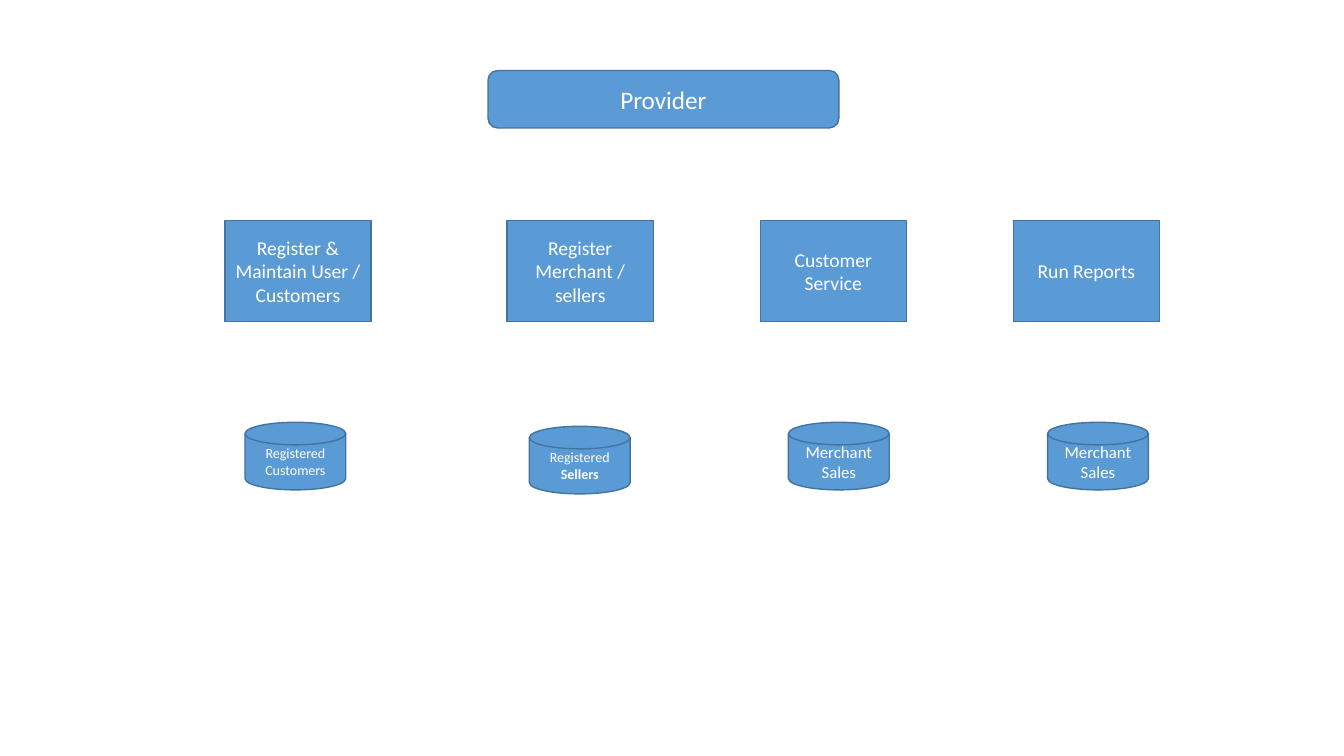
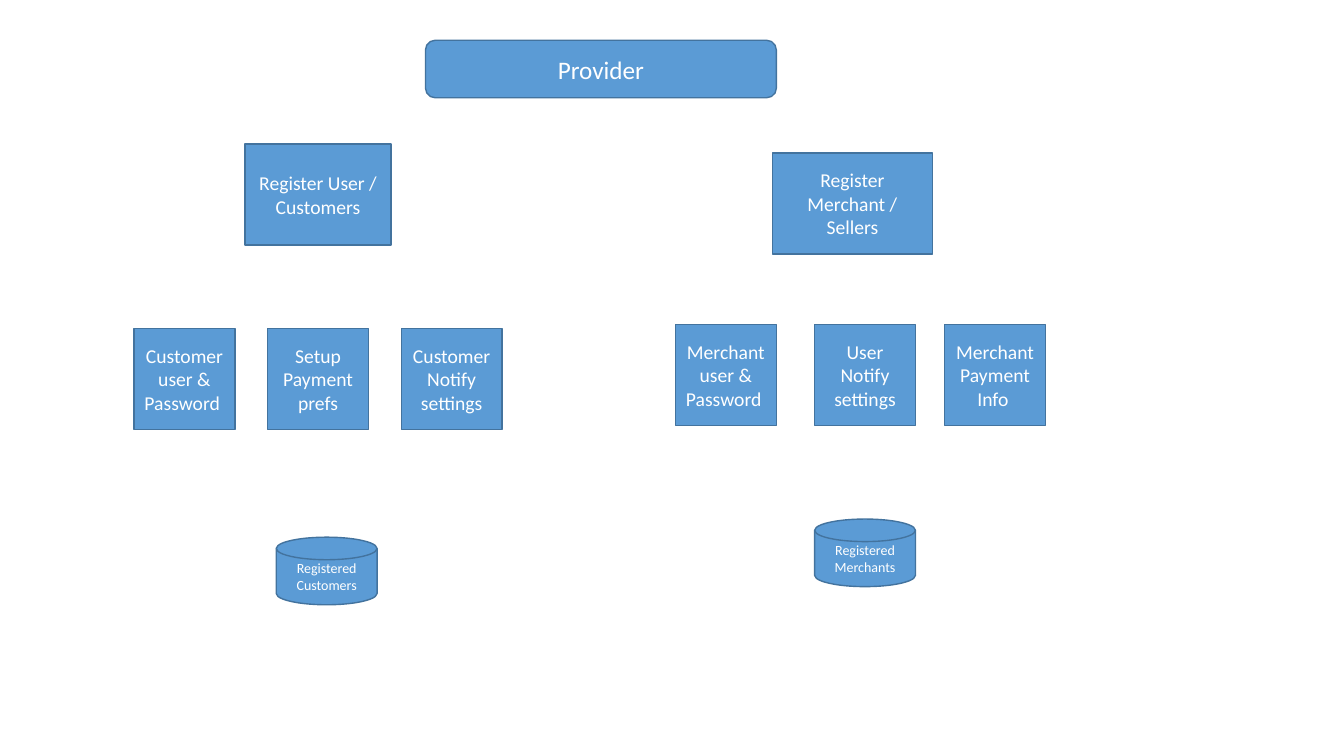
from dataclasses import dataclass

from pptx import Presentation
from pptx.dml.color import RGBColor
from pptx.enum.shapes import MSO_SHAPE
from pptx.enum.text import MSO_ANCHOR, PP_ALIGN
from pptx.util import Inches, Pt


@dataclass(frozen=True)
class Theme:
    fill: RGBColor = RGBColor(0x5B, 0x9B, 0xD5)
    line: RGBColor = RGBColor(0x43, 0x73, 0x9E)
    text: RGBColor = RGBColor(0xFF, 0xFF, 0xFF)
    font: str = "Calibri"
    provider: int = 18
    process: int = 14
    store: int = 12
    small_store: int = 10


theme = Theme()
PROVIDER = (MSO_SHAPE.ROUNDED_RECTANGLE, 3.48, 0.57, theme.provider)
PROCESS = (MSO_SHAPE.RECTANGLE, 1.45, 1, theme.process)
WIDE_PROCESS = (MSO_SHAPE.RECTANGLE, 1.59, 1, theme.process)
STEP = (MSO_SHAPE.RECTANGLE, 1, 1, theme.process)
STORE = (MSO_SHAPE.FLOWCHART_MAGNETIC_DISK, 1, 0.67, theme.store)
SMALL_STORE = (MSO_SHAPE.FLOWCHART_MAGNETIC_DISK, 1, 0.67, theme.small_store)


def add_node(s, kind, left, top, text, bold_text=""):
    shape, width, height, size = kind
    sp = s.shapes.add_shape(shape, Inches(left), Inches(top), Inches(width), Inches(height))
    sp.shadow.inherit = False
    sp.fill.solid()
    sp.fill.fore_color.rgb = theme.fill
    sp.line.color.rgb = theme.line
    sp.line.width = Pt(1)
    tf = sp.text_frame
    tf.word_wrap = True
    tf.vertical_anchor = MSO_ANCHOR.MIDDLE
    p = tf.paragraphs[0]
    p.alignment = PP_ALIGN.CENTER
    p.font.name = theme.font
    p.font.size = Pt(size)
    p.font.color.rgb = theme.text
    p.add_run().text = text
    if bold_text:
        r = p.add_run()
        r.text = bold_text
        r.font.bold = True


prs = Presentation()
prs.slide_width = Inches(13.33)
prs.slide_height = Inches(7.5)
blank = prs.slide_layouts[6]

s = prs.slides.add_slide(blank)
add_node(s, PROVIDER, 4.84, 0.7, "Provider")
add_node(s, PROCESS, 2.23, 2.19, "Register & Maintain User / Customers")
for i, text in enumerate(["Register Merchant / sellers", "Customer Service", "Run Reports"]):
    add_node(s, PROCESS, 5.03 + 2.51 * i, 2.19, text)
add_node(s, SMALL_STORE, 2.43, 4.19, "Registered Customers")
add_node(s, SMALL_STORE, 5.25, 4.23, "Registered ", "Sellers")
for left in (7.82, 10.39):
    add_node(s, STORE, left, 4.19, "Merchant Sales")

s = prs.slides.add_slide(blank)
add_node(s, PROVIDER, 4.22, 0.4, "Provider")
add_node(s, PROCESS, 2.43, 1.43, "Register User / Customers")
add_node(s, WIDE_PROCESS, 7.66, 1.52, "Register Merchant / Sellers")
customer_steps = ["Customer user & Password ", "Setup Payment prefs", "Customer Notify settings"]
for i, text in enumerate(customer_steps):
    add_node(s, STEP, 1.33 + 1.325 * i, 3.26, text)
merchant_steps = [
    (6.7, "Merchant user & Password "),
    (8.08, "User Notify settings"),
    (9.37, "Merchant Payment Info "),
]
for left, text in merchant_steps:
    add_node(s, STEP, left, 3.22, text)
add_node(s, SMALL_STORE, 2.74, 5.33, "Registered Customers")
add_node(s, SMALL_STORE, 8.08, 5.15, "Registered Merchants")

prs.save("out.pptx")
